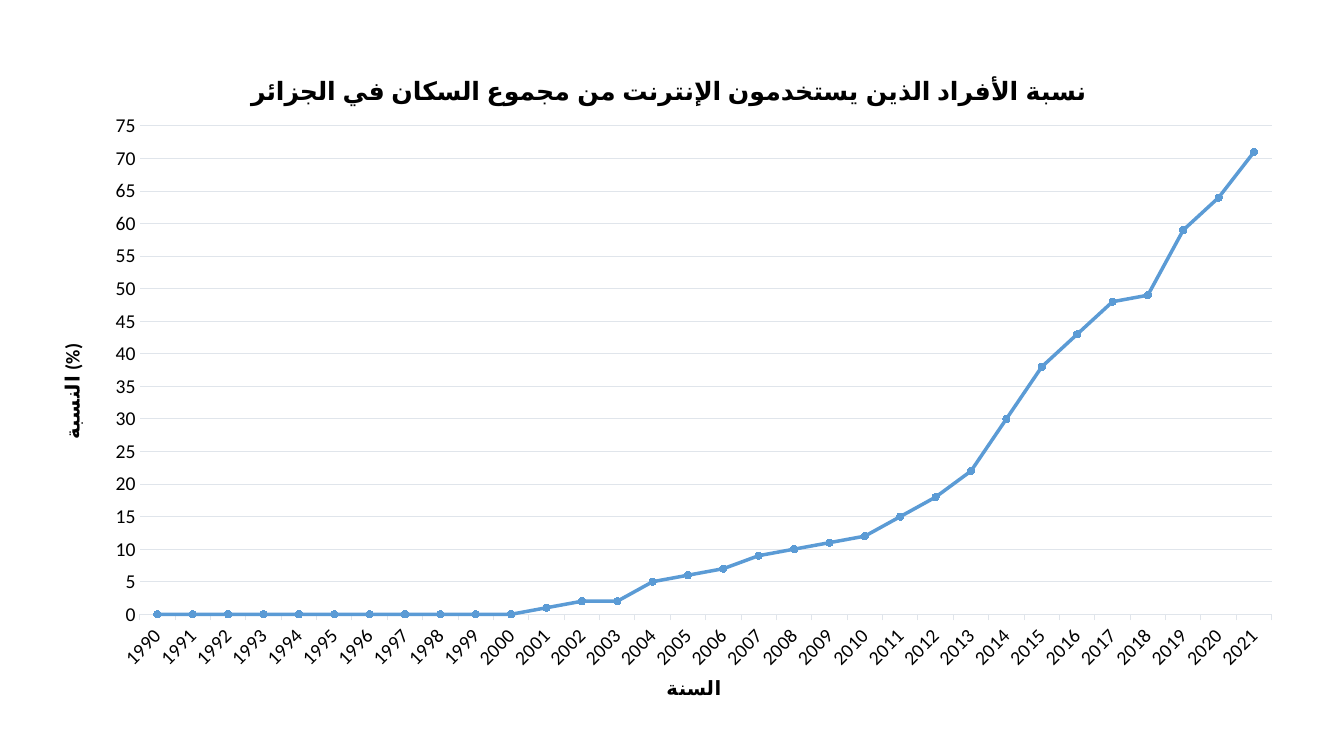
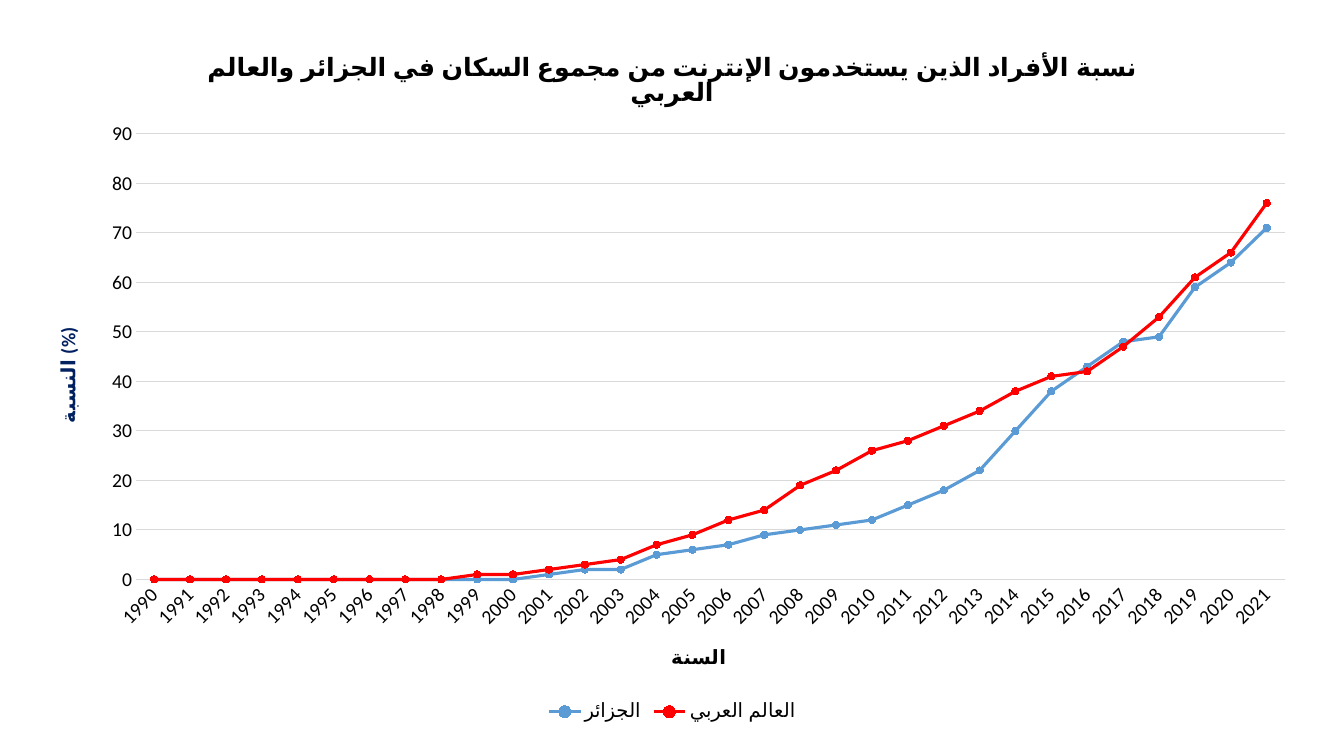
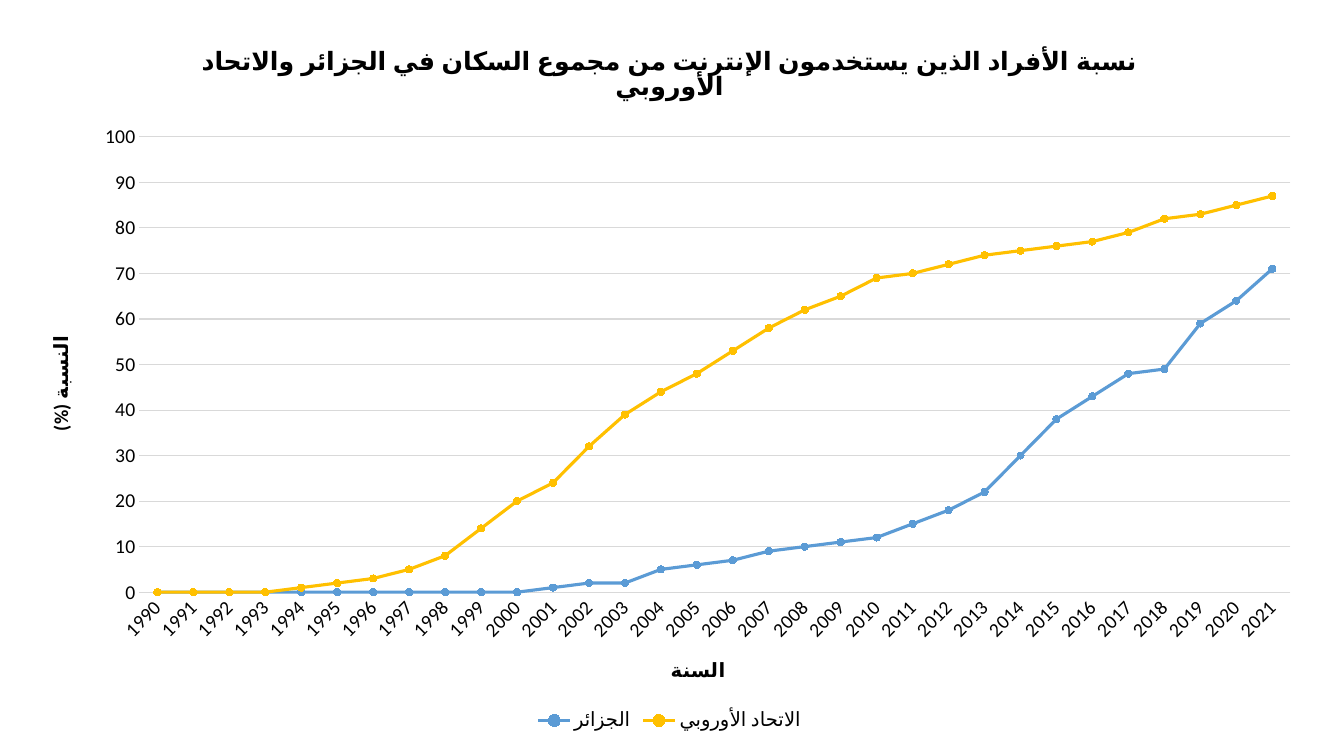
"""Three line charts of internet use in Algeria, the Arab world and the European Union."""
from lxml.etree import SubElement
from pptx import Presentation
from pptx.chart.data import CategoryChartData
from pptx.dml.color import RGBColor
from pptx.enum.chart import XL_CHART_TYPE, XL_LEGEND_POSITION, XL_MARKER_STYLE, XL_TICK_MARK
from pptx.oxml.ns import qn
from pptx.util import Cm, Pt

COLORS = {
    "text": "000000",
    "navy": "002060",
    "blue": "5B9BD5",
    "red": "FF0000",
    "gold": "FFC000",
    "pale": "E0E5EB",
    "grey": "D9D9D9",
}
FONT = "Calibri"
YEARS = [str(year) for year in range(1990, 2022)]
ALGERIA = ("الجزائر", "blue", [0] * 11 + [
    1, 2, 2, 5, 6, 7, 9, 10, 11, 12, 15, 18, 22, 30, 38, 43, 48, 49, 59, 64, 71])
ARAB_WORLD = ("العالم العربي", "red", [0] * 9 + [
    1, 1, 2, 3, 4, 7, 9, 12, 14, 19, 22, 26, 28, 31, 34, 38, 41, 42, 47, 53, 61, 66, 76])
EUROPEAN_UNION = ("الاتحاد الأوروبي", "gold", [0] * 4 + [
    1, 2, 3, 5, 8, 14, 20, 24, 32, 39, 44, 48, 53, 58, 62, 65, 69, 70, 72, 74, 75, 76,
    77, 79, 82, 83, 85, 87])
TITLE = "نسبة الأفراد الذين يستخدمون الإنترنت من مجموع السكان في الجزائر"

CHARTS = [
    {"title": TITLE, "type": XL_CHART_TYPE.LINE_MARKERS_STACKED, "series": [ALGERIA],
     "box": (1.35, 1.37, 31.01, 16.41), "plot": (0.07, 0.11, 0.92, 0.75),
     "percent": "النسبة (%)", "percent_color": "text", "maximum": 75, "step": 5,
     "grid": "pale", "tick": XL_TICK_MARK.OUTSIDE, "width": 2.5},
    {"title": TITLE + " والعالم العربي", "type": XL_CHART_TYPE.LINE_MARKERS,
     "series": [ALGERIA, ARAB_WORLD],
     "box": (0.86, 0.74, 32.16, 17.55), "plot": (0.08, 0.15, 0.9, 0.64),
     "percent": "النسبة (%)", "percent_color": "navy", "maximum": 90, "step": 10,
     "grid": "grey", "tick": XL_TICK_MARK.NONE, "width": 2.25},
    {"title": TITLE + " والاتحاد الأوروبي", "type": XL_CHART_TYPE.LINE_MARKERS,
     "series": [ALGERIA, EUROPEAN_UNION],
     "box": (0.58, 0.58, 32.59, 17.93), "plot": (0.09, 0.16, 0.89, 0.64),
     "percent": "(%) النسبة", "percent_color": "text", "maximum": 100, "step": 10,
     "grid": "grey", "tick": XL_TICK_MARK.NONE, "width": 2.25},
]


def style_font(font, size, color="text", bold=False):
    font.name = FONT
    font.size = Pt(size)
    font.bold = bold
    font.color.rgb = RGBColor.from_string(COLORS[color])


def write_title(text_frame, text, size, color="text"):
    text_frame.text = text
    style_font(text_frame.paragraphs[0].font, size, color, True)


presentation = Presentation()
presentation.slide_width = Cm(33.87)
presentation.slide_height = Cm(19.05)

for settings in CHARTS:
    slide = presentation.slides.add_slide(presentation.slide_layouts[6])
    data = CategoryChartData(number_format="0")
    data.categories = YEARS
    for name, color, values in settings["series"]:
        data.add_series(name, values)
    box = [Cm(length) for length in settings["box"]]
    chart = slide.shapes.add_chart(settings["type"], *box, data).chart
    style_font(chart.font, 10)
    chart.has_title = True
    write_title(chart.chart_title.text_frame, settings["title"], 18)

    chart.has_legend = len(settings["series"]) > 1
    if chart.has_legend:
        chart.legend.position = XL_LEGEND_POSITION.BOTTOM
        chart.legend.include_in_layout = False
        style_font(chart.legend.font, 14)

    grid_color = RGBColor.from_string(COLORS[settings["grid"]])
    year_axis, percent_axis = chart.category_axis, chart.value_axis
    for axis in (year_axis, percent_axis):
        axis.minor_tick_mark = XL_TICK_MARK.NONE
        style_font(axis.tick_labels.font, 14)
    year_axis.major_tick_mark = settings["tick"]
    percent_axis.major_tick_mark = XL_TICK_MARK.NONE
    write_title(year_axis.axis_title.text_frame, "السنة", 14)
    write_title(percent_axis.axis_title.text_frame, settings["percent"], 14,
                settings["percent_color"])
    percent_axis.minimum_scale = 0
    percent_axis.maximum_scale = settings["maximum"]
    percent_axis.major_unit = settings["step"]
    percent_axis.format.line.fill.background()
    percent_axis.has_major_gridlines = True
    for line in (year_axis.format.line, percent_axis.major_gridlines.format.line):
        line.color.rgb = grid_color
        line.width = Pt(0.75)

    for series, (name, color, values) in zip(chart.plots[0].series, settings["series"]):
        series.smooth = False
        series_color = RGBColor.from_string(COLORS[color])
        series.format.line.color.rgb = series_color
        series.format.line.width = Pt(settings["width"])
        series.marker.style = XL_MARKER_STYLE.CIRCLE
        series.marker.size = 5
        series.marker.format.fill.solid()
        series.marker.format.fill.fore_color.rgb = series_color
        series.marker.format.line.color.rgb = series_color

    chart_space = chart._chartSpace
    for query, angle in (("//c:catAx/c:txPr/a:bodyPr", -45),
                         ("//c:valAx/c:title//a:bodyPr", -90)):
        for body in chart_space.xpath(query):
            body.set("rot", str(angle * 60000))
            body.set("vert", "horz")

    plot_area = chart_space.xpath("//c:plotArea")[0]
    for layout in plot_area.findall(qn("c:layout")):
        plot_area.remove(layout)
    layout = SubElement(plot_area, qn("c:layout"))
    plot_area.insert(0, layout)
    manual = SubElement(layout, qn("c:manualLayout"))
    x, y, width, height = settings["plot"]
    for tag, value in (("layoutTarget", "inner"), ("xMode", "edge"), ("yMode", "edge"),
                       ("x", x), ("y", y), ("w", width), ("h", height)):
        SubElement(manual, qn("c:" + tag)).set("val", str(value))

presentation.save("out.pptx")
